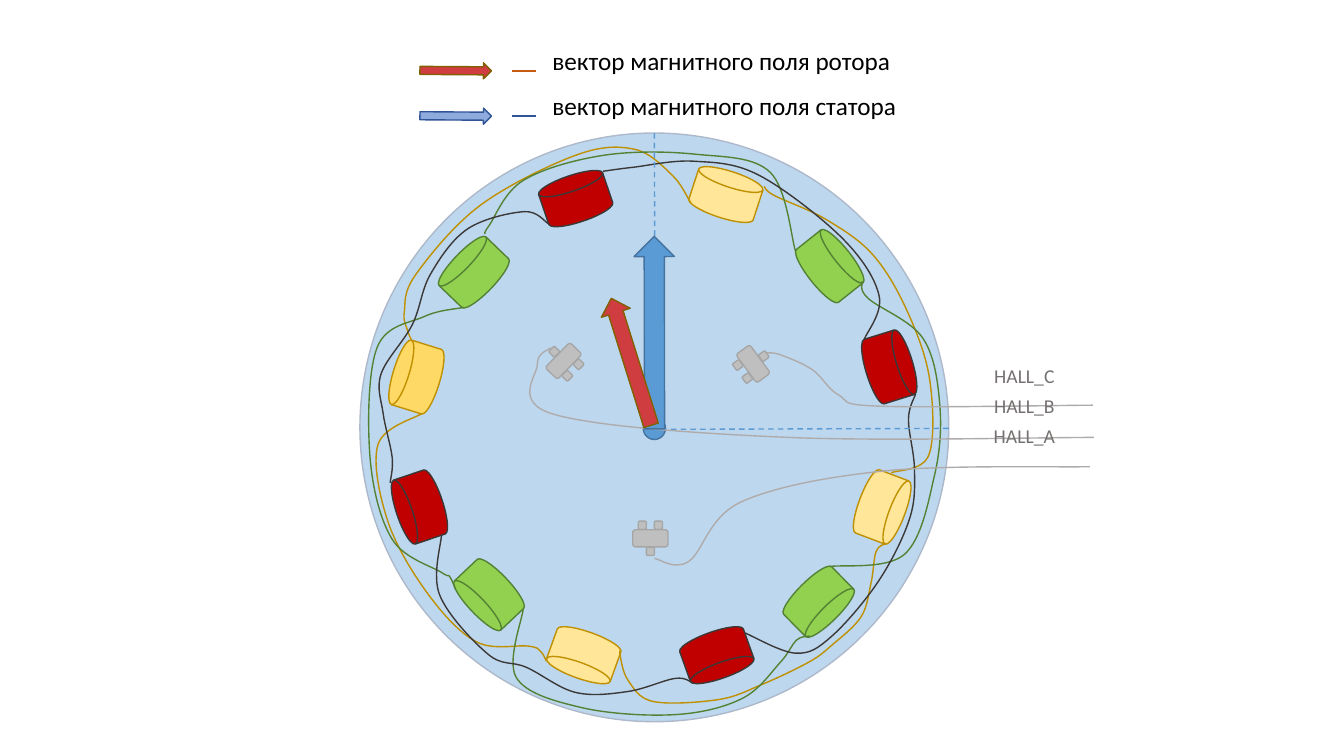
from math import cos, radians, sin

from lxml.etree import SubElement
from pptx import Presentation
from pptx.dml.color import RGBColor
from pptx.enum.dml import MSO_LINE
from pptx.enum.shapes import MSO_CONNECTOR, MSO_SHAPE
from pptx.enum.text import PP_ALIGN
from pptx.oxml.ns import qn
from pptx.util import Inches, Pt

COLORS = {
    "housing": "BDD7EE", "housing_line": "ADB9CA",
    "red": "C00000", "green": "92D050", "yellow": "FFE699", "amber": "FFD966",
    "red_line": "3B3838", "green_line": "548235",
    "yellow_line": "BF9000", "amber_line": "BF9000",
    "stator": "5B9BD5", "stator_line": "43739E",
    "rotor": "CF3D40", "rotor_line": "806000", "rotor_dash": "C55A11",
    "key_stator": "8FAADC", "key_stator_line": "2F5597",
    "sensor": "BFBFBF", "sensor_line": "A6A6A6", "sensor_wire": "AFABAB",
    "label": "767171", "text": "000000",
}
FONT = "Calibri"

# Phase, centre x, centre y, rotation
COILS = [
    ("red", 8.82, 3.64, 342.8), ("green", 8.23, 2.64, 321.5),
    ("yellow", 7.2, 1.93, 288.1), ("red", 5.71, 1.97, 251.3),
    ("green", 4.7, 2.7, 223.9), ("amber", 4.13, 3.74, 197.2),
    ("red", 4.16, 5.03, 161.4), ("green", 4.85, 5.9, 136.6),
    ("yellow", 5.79, 6.5, 109.8), ("red", 7.11, 6.5, 70.3),
    ("green", 8.12, 5.97, 45.3), ("yellow", 8.75, 5.03, 20.7),
]

# Points that each winding wire passes through
WIRES = {
    "yellow": [
        [(7.58, 1.85), (7.68, 1.94), (8.18, 2.17), (8.65, 2.52),
         (8.99, 3.07), (9.22, 3.76), (9.21, 4.52), (8.84, 4.69)],
        [(8.79, 5.39), (8.69, 5.47), (8.64, 5.78), (8.54, 6.12), (8.24, 6.41),
         (8.02, 6.57), (7.56, 6.79), (7.13, 6.94), (6.48, 6.96),
         (6.23, 6.75), (6.15, 6.5), (6.16, 6.45)],
        [(5.42, 6.56), (5.36, 6.46), (5.24, 6.41), (4.73, 6.37),
         (4.25, 5.9), (3.85, 5.18), (3.75, 4.41), (4.19, 4.1)],
        [(4.08, 3.37), (4.04, 3.27), (4.01, 3.1), (4.12, 2.73), (4.76, 2.04),
         (5.71, 1.54), (6.29, 1.48), (6.67, 1.74), (6.85, 2.01)],
    ],
    "green": [
        [(8.55, 2.79), (8.61, 2.96), (9.15, 3.35), (9.32, 4),
         (9.27, 4.71), (8.97, 5.5), (8.23, 5.62)],
        [(8.03, 6.31), (7.9, 6.35), (7.74, 6.57), (7.36, 6.93),
         (6.69, 7.09), (5.77, 7.02), (5.12, 6.72), (5.19, 6.04)],
        [(4.52, 5.85), (4.46, 5.72), (4.38, 5.68), (3.89, 5.35),
         (3.67, 4.53), (3.74, 3.45), (4.21, 3.14), (4.6, 3.05)],
        [(4.81, 2.32), (4.85, 2.24), (5.19, 1.79), (5.99, 1.54),
         (6.9, 1.53), (7.64, 1.71), (7.89, 2.49)],
    ],
    "red": [
        [(5.98, 1.7), (6.28, 1.66), (6.88, 1.6), (7.53, 1.74),
         (8.36, 2.37), (8.72, 2.94), (8.57, 3.37)],
        [(9.08, 3.91), (9.01, 4.16), (9.07, 4.66), (9.02, 5.15),
         (8.71, 5.77), (8.24, 6.32), (7.89, 6.48), (7.39, 6.28)],
        [(6.88, 6.78), (6.7, 6.73), (6.23, 6.86), (5.71, 6.87),
         (5.22, 6.62), (4.84, 6.49), (4.36, 5.9), (4.38, 5.3)],
        [(3.87, 4.79), (3.89, 4.54), (3.8, 4.1), (3.78, 3.71), (4.09, 3.22),
         (4.27, 2.72), (4.64, 2.27), (5.2, 2.1), (5.44, 2.22)],
    ],
}

# Centre x, centre y, rotation and signal wire of each Hall sensor
SENSORS = [
    (5.59, 3.58, 314.4, [(5.46, 3.45), (5.33, 3.61), (5.49, 4.11),
                         (7.82, 4.34), (10.85, 4.34)]),
    (6.45, 5.34, 180, [(6.49, 5.54), (6.83, 5.57), (7.35, 4.98),
                       (8.79, 4.67), (10.81, 4.63)]),
    (7.47, 3.61, 53.8, [(7.6, 3.5), (7.74, 3.52), (8.06, 3.67), (8.32, 3.92),
                        (8.72, 4.03), (10.84, 4.02)]),
]


def rgb(name):
    return RGBColor.from_string(COLORS[name])


def add_centred(slide, kind, x, y, w, h, color, angle=0):
    """Add a preset shape by its centre, outlined in the matching line colour."""
    sp = slide.shapes.add_shape(kind, Inches(x - w / 2), Inches(y - h / 2),
                                Inches(w), Inches(h))
    sp.rotation = angle
    sp.shadow.inherit = False
    sp.fill.solid()
    sp.fill.fore_color.rgb = rgb(color)
    sp.line.color.rgb = rgb(color + "_line")
    sp.line.width = Pt(1)


def add_wire(slide, knots, color):
    """Draw a smooth curve through the knots, with Catmull-Rom tangents."""
    padded = [knots[0], *knots, knots[-1]]
    points = []
    for before, a, b, after in zip(padded, padded[1:], padded[2:], padded[3:]):
        points.append([p + (q - o) / 6 for o, p, q in zip(before, a, b)])
        points.append([q - (r - p) / 6 for p, q, r in zip(a, b, after)])
        points.append(b)
    x, y = knots[0]
    builder = slide.shapes.build_freeform(Inches(x), Inches(y))
    builder.add_line_segments([(Inches(x), Inches(y)) for x, y in points],
                              close=False)
    sp = builder.convert_to_shape()
    sp.shadow.inherit = False
    sp.fill.background()
    sp.line.color.rgb = rgb(color)
    sp.line.width = Pt(1)

    outline = sp._element.find(".//" + qn("a:path"))
    segments = outline.findall(qn("a:lnTo"))
    for i in range(0, len(segments), 3):
        curve = SubElement(outline, qn("a:cubicBezTo"))
        for segment in segments[i:i + 3]:
            curve.append(segment[0])
            outline.remove(segment)


def add_line(slide, x1, y1, x2, y2, color, width, dash=None):
    line = slide.shapes.add_connector(MSO_CONNECTOR.STRAIGHT, Inches(x1),
                                      Inches(y1), Inches(x2), Inches(y2))
    line.line.color.rgb = rgb(color)
    line.line.width = Pt(width)
    if dash:
        line.line.dash_style = dash
    SubElement(line._element.spPr, qn("a:effectLst"))


def add_text(slide, x, y, w, h, text, size, color, align=PP_ALIGN.LEFT):
    tf = slide.shapes.add_textbox(Inches(x), Inches(y),
                                  Inches(w), Inches(h)).text_frame
    tf.word_wrap = True
    p = tf.paragraphs[0]
    p.text = text
    p.alignment = align
    font = p.runs[0].font
    font.name, font.size = FONT, Pt(size)
    font.color.rgb = rgb(color)


def add_sensor(slide, x, y, angle):
    """Add a Hall sensor: a body with one pin on one side and two on the other."""
    c, s = cos(radians(angle)), sin(radians(angle))
    parts = [(0, 0, 0.35, 0.17), (0, -0.13, 0.08, 0.08),
             (-0.08, 0.13, 0.08, 0.08), (0.08, 0.13, 0.08, 0.08)]
    for dx, dy, w, h in parts:
        add_centred(slide, MSO_SHAPE.ROUNDED_RECTANGLE, x + dx * c - dy * s,
                    y + dx * s + dy * c, w, h, "sensor", angle)


def add_key(slide, y, arrow, dash, text):
    add_centred(slide, MSO_SHAPE.DOWN_ARROW, 4.52, y, 0.16, 0.71, arrow, 270.4)
    add_line(slide, 5.08, y, 5.32, y, dash, 1.5)
    add_text(slide, 5.38, y - 0.3, 5.18, 0.54, text, 18, "text")


def main():
    prs = Presentation()
    prs.slide_width, prs.slide_height = Inches(13.33), Inches(7.5)
    slide = prs.slides.add_slide(prs.slide_layouts[6])

    add_centred(slide, MSO_SHAPE.OVAL, 6.49, 4.24, 5.84, 5.84, "housing")
    for phase, x, y, angle in COILS:
        add_centred(slide, MSO_SHAPE.FLOWCHART_DIRECT_ACCESS_STORAGE,
                    x, y, 0.47, 0.67, phase, angle)
    add_centred(slide, MSO_SHAPE.FLOWCHART_CONNECTOR, 6.49, 4.25,
                0.22, 0.22, "stator")
    for phase, wires in WIRES.items():
        for knots in wires:
            add_wire(slide, knots, phase + "_line")

    add_line(slide, 6.49, 1.32, 6.5, 4.25, "stator", 1, MSO_LINE.DASH)
    add_line(slide, 9.41, 4.25, 6.49, 4.26, "stator", 1, MSO_LINE.DASH)
    for x, y, angle, knots in SENSORS:
        add_wire(slide, knots, "sensor_wire")
        add_sensor(slide, x, y, angle)
    for i, signal in enumerate("CBA"):
        add_text(slide, 9.49, 3.56 + 0.3 * i, 1.34, 0.56, f"HALL_{signal}",
                 14, "label", PP_ALIGN.CENTER)

    add_centred(slide, MSO_SHAPE.DOWN_ARROW, 6.49, 3.3, 0.4, 1.91, "stator", 179.9)
    add_centred(slide, MSO_SHAPE.DOWN_ARROW, 6.26, 3.59, 0.3, 1.32, "rotor", 162.6)
    add_key(slide, 0.7, "rotor", "rotor_dash", "вектор магнитного поля ротора")
    add_key(slide, 1.15, "key_stator", "key_stator_line",
            "вектор магнитного поля статора")
    prs.save("out.pptx")


if __name__ == "__main__":
    main()
